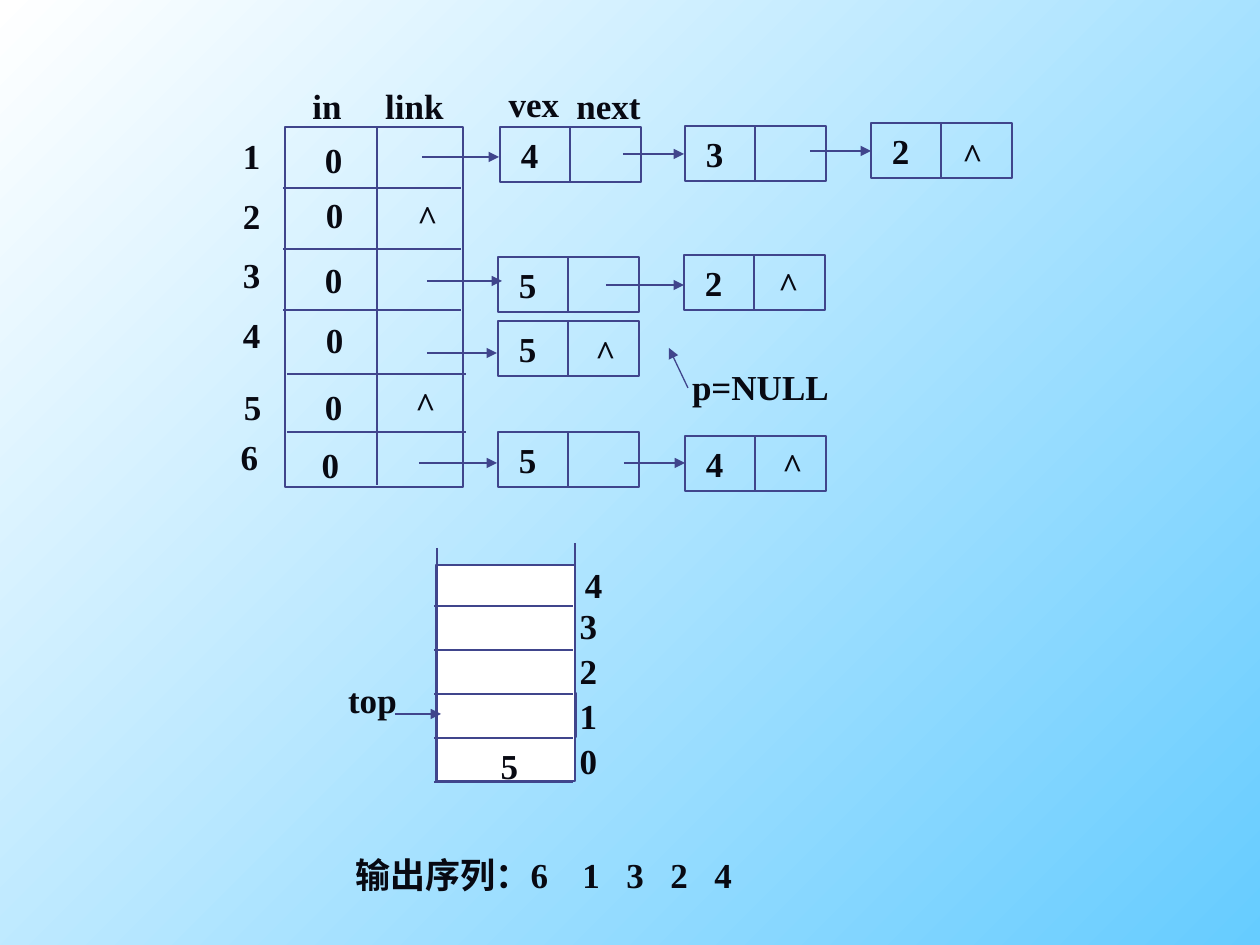
"""Draw the adjacency list and the stack of a topological sort."""
from dataclasses import dataclass
from typing import Any, Optional

from lxml.etree import SubElement
from pptx import Presentation
from pptx.dml.color import RGBColor
from pptx.enum.shapes import MSO_CONNECTOR, MSO_SHAPE
from pptx.enum.text import MSO_ANCHOR, MSO_AUTO_SIZE, PP_ALIGN
from pptx.oxml.ns import qn
from pptx.util import Pt

EMU_PER_PX = 914400 / 126
COLORS = {"ink": "080912", "rule": "40458C", "paper": "FFFFFF", "sky": "66CCFF"}
FONT_FORMAT = {"name": "Times New Roman", "size": Pt(20), "bold": True}
FRAME_FORMAT = {
    "auto_size": MSO_AUTO_SIZE.SHAPE_TO_FIT_TEXT,
    "vertical_anchor": MSO_ANCHOR.MIDDLE,
}
TEXT_HEIGHT = 55
DIGIT_WIDTH, CARET_WIDTH = 43, 45
NODE_WIDTH, NODE_INDENT = 141, 21


@dataclass
class Label:
    text: str
    left: int
    top: int
    width: int = DIGIT_WIDTH


@dataclass
class Segment:
    x1: int
    y1: int
    x2: int
    y2: int
    arrow: bool = False


@dataclass
class Box:
    left: int
    top: int
    width: int
    height: int
    fill: Optional[str] = None


@dataclass
class Node:
    vertex: str
    left: int
    top: int


@dataclass
class VertexRow:
    number: Label
    in_degree: Label


VERTEX_TABLE = Box(285, 127, 178, 360)
VERTEX_RULES = [Segment(283, y, 461, y) for y in (188, 249, 310)]
VERTEX_RULES += [Segment(287, y, 466, y) for y in (374, 432)]
VERTEX_RULES.append(Segment(377, 127, 377, 485))
VERTEX_ROWS = [
    VertexRow(Label("1", 230, 128), Label("0", 312, 132)),
    VertexRow(Label("2", 230, 188), Label("0", 313, 187)),
    VertexRow(Label("3", 230, 247), Label("0", 312, 252)),
    VertexRow(Label("4", 230, 307), Label("0", 313, 312)),
    VertexRow(Label("5", 231, 379), Label("0", 312, 379)),
    VertexRow(Label("6", 228, 429), Label("0", 309, 437)),
]
FIELD_NAMES = [
    Label("in", 295, 78, 64),
    Label("link", 365, 78, 99),
    Label("vex", 488, 76, 92),
    Label("next", 556, 78, 105),
]
NODES = [
    Node("4", 500, 127), Node("3", 685, 126), Node("2", 871, 123),
    Node("5", 498, 257), Node("2", 684, 255),
    Node("5", 498, 321),
    Node("5", 498, 432), Node("4", 685, 436),
]
NULL_LINKS = [
    Label("^", left, top, CARET_WIDTH)
    for left, top in ((950, 127), (405, 189), (766, 256),
                      (583, 324), (403, 376), (770, 437))
]
NEXT_ARROWS = [
    Segment(x1, y, x2, y, True)
    for x1, y, x2 in ((422, 157, 499), (623, 154, 684), (810, 151, 871),
                      (427, 281, 502), (606, 285, 684), (427, 353, 497),
                      (419, 463, 497), (624, 463, 685))
]
STACK_BOXES = [Box(437, 693, 139, 44, "paper"), Box(436, 565, 139, 216, "paper")]
STACK_RULES = [Segment(434, y, 573, y) for y in range(606, 783, 44)]
STACK_RULES += [
    Segment(437, 548, 437, 781),
    Segment(575, 779, 575, 543),
    Segment(436, 565, 575, 565),
]
STACK_INDEXES = [Label("4", 572, 557)]
STACK_INDEXES += [Label(str(3 - step), 567, 598 + 45 * step) for step in range(4)]
TOP_POINTER = (Segment(395, 714, 441, 714, True), Label("top", 328, 672, 89))
NULL_POINTER = (Segment(688, 388, 669, 348, True), Label("p=NULL", 672, 359, 177))
STACK_VALUE = Label("5", 488, 738)
OUTPUT_ORDER = Label("输出序列：6\t1\t3\t2\t4", 343, 847, 402)
OUTPUT_TABS = [183 + 44 * step for step in range(1, 5)]


def px(length: int) -> int:
    return round(length * EMU_PER_PX)


def color(name: str) -> RGBColor:
    return RGBColor.from_string(COLORS[name])


def apply_format(target: Any, values: dict) -> None:
    for attribute, value in values.items():
        setattr(target, attribute, value)


def write(frame: Any, text: str, align: PP_ALIGN, wrap: bool) -> None:
    apply_format(frame, {**FRAME_FORMAT, "word_wrap": wrap})
    paragraph = frame.paragraphs[0]
    paragraph.alignment = align
    run = paragraph.add_run()
    run.text = text
    apply_format(run.font, FONT_FORMAT)
    run.font.color.rgb = color("ink")


def draw_label(shapes: Any, label: Label, align: PP_ALIGN = PP_ALIGN.CENTER) -> Any:
    caption = shapes.add_textbox(
        px(label.left), px(label.top), px(label.width), px(TEXT_HEIGHT))
    write(caption.text_frame, label.text, align, False)
    return caption


def draw_segment(shapes: Any, segment: Segment) -> None:
    rule = shapes.add_connector(
        MSO_CONNECTOR.STRAIGHT,
        px(segment.x1), px(segment.y1), px(segment.x2), px(segment.y2))
    rule.line.color.rgb = color("rule")
    rule.line.width = Pt(0.75)
    properties = rule._element.spPr
    if segment.arrow:
        SubElement(properties.find(qn("a:ln")), qn("a:tailEnd"), type="triangle")
    SubElement(properties, qn("a:effectLst"))


def draw_box(shapes: Any, box: Box) -> Any:
    outline = shapes.add_shape(
        MSO_SHAPE.RECTANGLE, px(box.left), px(box.top), px(box.width), px(box.height))
    outline.shadow.inherit = False
    outline.line.color.rgb = color("rule")
    outline.line.width = Pt(0.75)
    if box.fill:
        outline.fill.solid()
        outline.fill.fore_color.rgb = color(box.fill)
    else:
        outline.fill.background()
    return outline


def draw_node(shapes: Any, node: Node) -> None:
    cell = draw_box(shapes, Box(node.left, node.top, NODE_WIDTH, TEXT_HEIGHT))
    cell.text_frame.margin_left = px(NODE_INDENT)
    write(cell.text_frame, node.vertex, PP_ALIGN.LEFT, True)
    middle = node.left + NODE_WIDTH // 2
    draw_segment(shapes, Segment(middle, node.top + 1, middle, node.top + TEXT_HEIGHT - 1))


def draw_adjacency_list(shapes: Any) -> None:
    draw_box(shapes, VERTEX_TABLE)
    for node in NODES:
        draw_node(shapes, node)
    for segment in VERTEX_RULES + NEXT_ARROWS:
        draw_segment(shapes, segment)
    for row in VERTEX_ROWS:
        draw_label(shapes, row.number)
        draw_label(shapes, row.in_degree)
    for label in FIELD_NAMES + NULL_LINKS:
        draw_label(shapes, label)


def draw_stack(shapes: Any) -> None:
    for box in STACK_BOXES:
        draw_box(shapes, box)
    for segment in STACK_RULES:
        draw_segment(shapes, segment)
    for label in STACK_INDEXES:
        draw_label(shapes, label)


def draw_output_order(shapes: Any) -> None:
    caption = draw_label(shapes, OUTPUT_ORDER, PP_ALIGN.LEFT)
    properties = caption.text_frame.paragraphs[0]._p.get_or_add_pPr()
    tabs = SubElement(properties, qn("a:tabLst"))
    for position in OUTPUT_TABS:
        SubElement(tabs, qn("a:tab"), pos=str(px(position)), algn="l")


def main() -> None:
    deck = Presentation()
    apply_format(deck, {"slide_width": px(1260), "slide_height": px(945)})
    slide = deck.slides.add_slide(deck.slide_layouts[6])
    backdrop = slide.background.fill
    backdrop.gradient()
    backdrop.gradient_angle = 135
    for stop, name in zip(backdrop.gradient_stops, ("sky", "paper")):
        stop.color.rgb = color(name)
    draw_adjacency_list(slide.shapes.add_group_shape().shapes)
    draw_output_order(slide.shapes)
    draw_stack(slide.shapes.add_group_shape().shapes)
    for arrow, name in (TOP_POINTER, NULL_POINTER):
        pointer = slide.shapes.add_group_shape().shapes
        draw_segment(pointer, arrow)
        draw_label(pointer, name)
    draw_label(slide.shapes, STACK_VALUE)
    deck.save("out.pptx")


if __name__ == "__main__":
    main()
